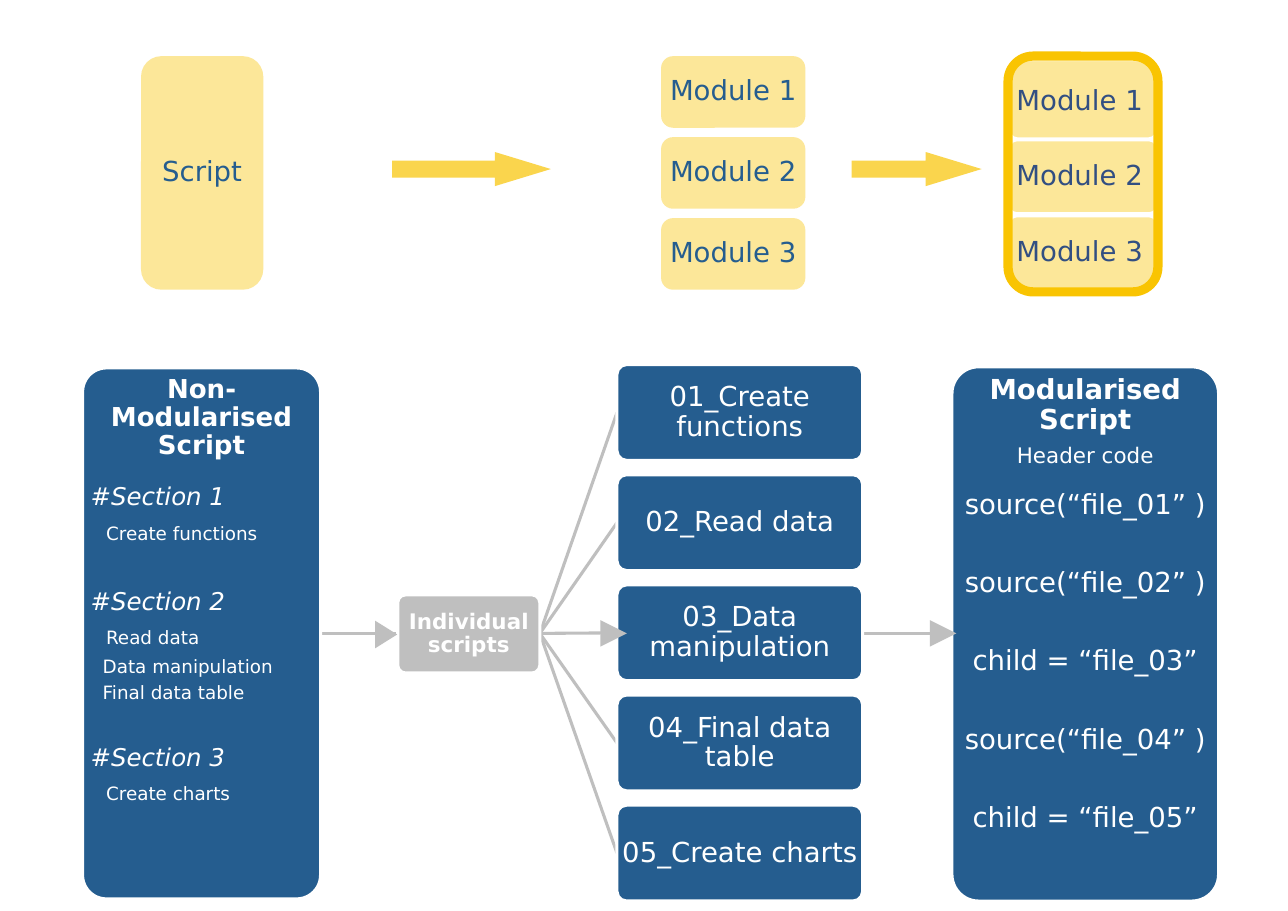
from pptx import Presentation
from pptx.dml.color import RGBColor
from pptx.enum.shapes import MSO_CONNECTOR as Conn, MSO_SHAPE as Kind
from pptx.enum.text import MSO_ANCHOR as Anchor, PP_ALIGN as Align
from pptx.oxml.ns import qn
from pptx.util import Inches, Pt
from lxml.etree import SubElement


class Theme:
    font = "DejaVu Sans"
    blue, navy, gold = "255D8F", "324F82", "F9C402"
    grey, white = "BFBFBF", "FFFFFF"
    big, head, mid, label, small = 18, 17, 16, 14, 12
    pale, strong = 40, 70  # opacity in percent
    edge, frame = 2, 6


# Lines of a panel: text, size, style, space before in points, indent in inches
BEFORE = [
    ("Non-Modularised Script", Theme.head, "title", 0, 0),
    ("#Section 1", Theme.mid, "italic", 16, 0),
    ("Create functions", Theme.small, "", 8.8, 0.14),
    ("#Section 2", Theme.mid, "italic", 29.3, 0),
    ("Read data", Theme.small, "", 8.8, 0.14),
    ("Data manipulation", Theme.small, "", 5.7, 0.11),
    ("Final data table", Theme.small, "", 4.3, 0.11),
    ("#Section 3", Theme.mid, "italic", 27, 0),
    ("Create charts", Theme.small, "", 8.8, 0.14),
]
CALLS = ["source(“file_02” )", "child = “file_03”",
         "source(“file_04” )", "child = “file_05”"]
AFTER = [
    ("Modularised Script", Theme.big, "title", 0, 0),
    ("Header code", Theme.label, "center", 6.1, 0),
    ("source(“file_01” )", Theme.big, "center", 15, 0),
] + [(call, Theme.big, "center", 31.7, 0) for call in CALLS]
FILES = ["01_Create functions", "02_Read data", "03_Data manipulation",
         "04_Final data table", "05_Create charts"]
MODULES = ["Module 1", "Module 2", "Module 3"]
# Merged modules: top, height, top inset
STACK = [(0.54, 0.72, 0.07), (1.27, 0.67, 0.02), (1.96, 0.67, 0.02)]

AXIS = 5.75  # height of the main flow
HUB = 4.9    # right edge of the grey box
FILE_X, FILE_Y, FILE_W, FILE_H, STEP = 5.6, 3.31, 2.23, 0.87, 1.0
PANEL_X = 8.64


def rgb(code):
    return RGBColor.from_string(code)


def draw(kind, box, fill=None, alpha=100, line=None, width=Theme.edge, adj=()):
    shape = slide.shapes.add_shape(kind, *map(Inches, box))
    shape.shadow.inherit = False
    for i, value in enumerate(adj):
        shape.adjustments[i] = value
    if fill:
        shape.fill.solid()
        shape.fill.fore_color.rgb = rgb(fill)
        if alpha < 100:
            tint = shape.fill._xPr.find(qn("a:solidFill"))[0]
            SubElement(tint, qn("a:alpha"), val=str(alpha * 1000))
    else:
        shape.fill.background()
    if line:
        shape.line.color.rgb = rgb(line)
        shape.line.width = Pt(width)
    else:
        shape.line.fill.background()
    return shape


def write(shape, lines, color, anchor=Anchor.MIDDLE, inset=(0.01,) * 4):
    """Fill a shape with styled lines; inset is left, top, right, bottom."""
    frame = shape.text_frame
    frame.word_wrap = True
    frame.vertical_anchor = anchor
    (frame.margin_left, frame.margin_top,
     frame.margin_right, frame.margin_bottom) = map(Inches, inset)
    for i, (text, size, style, gap, indent) in enumerate(lines):
        para = frame.add_paragraph() if i else frame.paragraphs[0]
        para.alignment = Align.CENTER if style in ("title", "center") else Align.LEFT
        para.line_spacing = 0.9
        para.space_before = Pt(gap)
        if indent:
            props = para._p.get_or_add_pPr()
            props.set("marL", str(Inches(indent)))
            props.set("indent", "0")
        run = para.add_run()
        run.text = text
        font = run.font
        font.name, font.size = Theme.font, Pt(size)
        font.bold, font.italic = style == "title", style == "italic"
        font.color.rgb = rgb(color)


def label(shape, text, color, size=Theme.big, style="center", **more):
    write(shape, [(text, size, style, 0, 0)], color, **more)


def link(x, y, end_x, end_y):
    line = slide.shapes.add_connector(Conn.STRAIGHT, *map(Inches, (x, y, end_x, end_y)))
    line.line.color.rgb = rgb(Theme.grey)
    line.line.width = Pt(Theme.edge)
    SubElement(line._element.spPr, qn("a:effectLst"))


def card(box, fill, alpha=100):
    return draw(Kind.ROUNDED_RECTANGLE, box, fill, alpha, Theme.white, adj=(0.1,))


deck = Presentation()
deck.slide_width, deck.slide_height = Inches(11.69), Inches(8.27)
slide = deck.slides.add_slide(deck.slide_layouts[6])

# Lower flow: links first, so the cards cover their ends
mids = [FILE_Y + FILE_H / 2 + i * STEP for i in range(len(FILES))]
link(2.91, AXIS, 3.61, AXIS)
for mid in mids:
    link(HUB, AXIS, FILE_X, mid)
link(FILE_X + FILE_W, AXIS, PANEL_X, AXIS)

write(card((0.75, 3.34, 2.16, 4.82), Theme.blue), BEFORE, Theme.white, Anchor.TOP)
label(card((3.61, 5.4, 1.29, 0.71), Theme.grey), "Individual scripts",
      Theme.white, Theme.label, "title")
for name, mid in zip(FILES, mids):
    box = card((FILE_X, mid - FILE_H / 2, FILE_W, FILE_H), Theme.blue)
    label(box, name, Theme.white)
write(card((PANEL_X, 3.33, 2.42, 4.85), Theme.blue), AFTER, Theme.white, Anchor.TOP)

for box in [(3.38, 5.66, 0.25, 0.2), (5.45, 5.63, 0.24, 0.24), (8.44, 5.63, 0.24, 0.24)]:
    draw(Kind.ISOSCELES_TRIANGLE, box, Theme.grey).rotation = 90

# Upper flow
whole = draw(Kind.ROUNDED_RECTANGLE, (1.28, 0.51, 1.11, 2.12), Theme.gold, Theme.pale)
label(whole, "Script", Theme.blue)
for i, name in enumerate(MODULES):
    part = draw(Kind.ROUNDED_RECTANGLE, (6, 0.51 + i * 0.735, 1.31, 0.65),
                Theme.gold, Theme.pale)
    label(part, name, Theme.blue)
for name, (top, high, pad) in zip(MODULES, STACK):
    part = card((9.16, top, 1.34, high), Theme.gold, Theme.pale)
    label(part, name, Theme.navy, inset=(0.01, pad, 0.07, 0.02))
draw(Kind.ROUNDED_RECTANGLE, (9.15, 0.51, 1.36, 2.14), line=Theme.gold, width=Theme.frame)
for x, wide in [(3.56, 1.44), (7.73, 1.18)]:
    draw(Kind.RIGHT_ARROW, (x, 1.38, wide, 0.31), Theme.gold, Theme.strong, adj=(0.5, 1.64))

deck.save("out.pptx")
